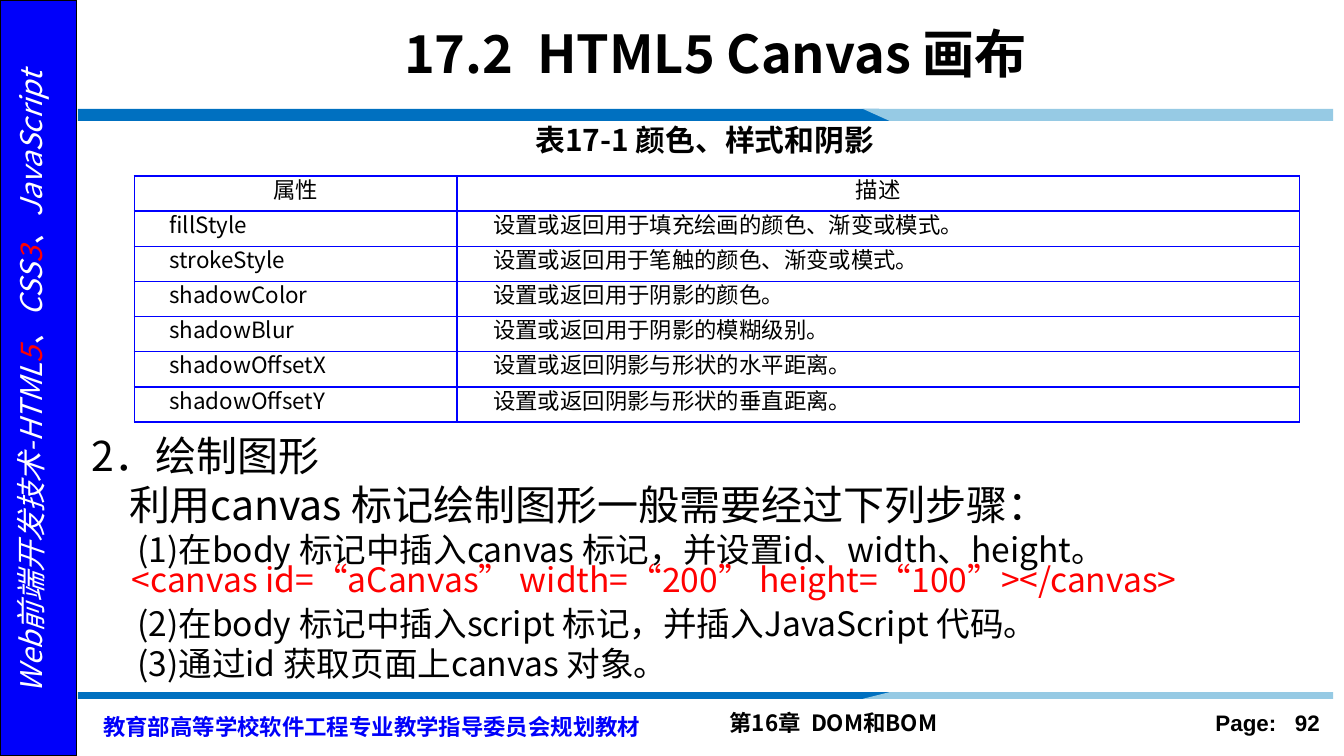
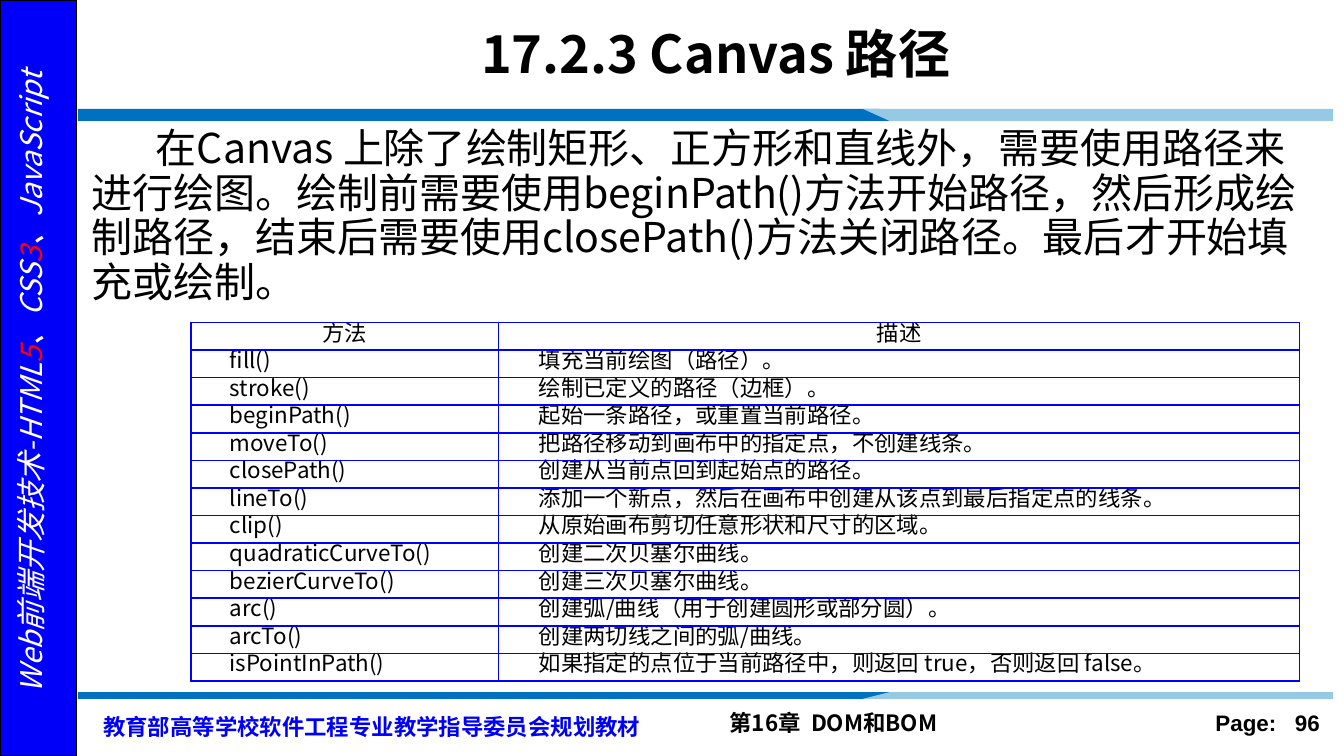
import pptx
import pptx.dml.color
import pptx.enum.shapes
import pptx.enum.text
import pptx.oxml
import pptx.oxml.ns
import pptx.util
from lxml import etree

Inches = pptx.util.Inches
Pt = pptx.util.Pt
ALIGN = pptx.enum.text.PP_ALIGN
ANCHOR = pptx.enum.text.MSO_ANCHOR

FONT = "Noto Sans CJK SC"
BLACK, WHITE, RED = "000000", "FFFFFF", "FF0000"
SIDE_BLUE, GRID_BLUE = "0000FA", "0000FF"
BAND_DARK, BAND_LIGHT = "0070C0", "96CAE4"
LINE_RATIO = 1.2

SLIDE_WIDTH = Inches(10)
SLIDE_HEIGHT = SLIDE_WIDTH * 9 // 16
BODY_LEFT, BODY_WIDTH = 0.58, 9.33


def color(value):
    """Turn a hex string into a colour."""
    return pptx.dml.color.RGBColor.from_string(value)


def apply(target, values):
    """Set every attribute in a dict of format values."""
    for name, value in values.items():
        setattr(target, name, value)


def place(shape, box):
    """Move a shape to a box of left, top, width and height in inches."""
    apply(shape, dict(zip(("left", "top", "width", "height"), map(Inches, box))))


def write(paragraph, runs, size, font=FONT, indent=0, layout=None, **style):
    """Fill a paragraph with (text, hex colour) runs in one style."""
    spacing = {"space_before": Pt(0), "space_after": Pt(0),
               "line_spacing": Pt(round(size * LINE_RATIO, 1))}
    apply(paragraph, {**spacing, **(layout or {})})
    properties = paragraph._p.get_or_add_pPr()
    properties.set("marL", "0")
    properties.set("indent", str(Inches(indent)))
    etree.SubElement(properties, pptx.oxml.ns.qn("a:buNone"))
    for text, hex_color in runs:
        run = paragraph.add_run()
        run.text = text
        apply(run.font, {"size": Pt(size), "name": font, **style})
        run.font.color.rgb = color(hex_color)
        east_asian = etree.SubElement(run.font._element, pptx.oxml.ns.qn("a:ea"))
        east_asian.set("typeface", font)


def prepare_frame(shape, anchor=ANCHOR.TOP):
    """Give a text shape the shared insets and return its frame."""
    frame = shape.text_frame
    apply(frame, {"word_wrap": True, "vertical_anchor": anchor,
                  "auto_size": pptx.enum.text.MSO_AUTO_SIZE.NONE,
                  "margin_left": Inches(0.1), "margin_right": Inches(0.1),
                  "margin_top": Inches(0.05), "margin_bottom": Inches(0.05)})
    return frame


def add_label(slide, box, runs, size, anchor=ANCHOR.TOP, **options):
    """Add a one-paragraph text box and return it."""
    label = slide.shapes.add_textbox(*map(Inches, box))
    write(prepare_frame(label, anchor).paragraphs[0], runs, size, **options)
    return label


def paint(shape, fill, line=None):
    """Give a shape a plain fill and an optional one-point line."""
    shape.shadow.inherit = False
    shape.fill.solid()
    shape.fill.fore_color.rgb = color(fill)
    if line:
        shape.line.color.rgb = color(line)
        shape.line.width = Pt(1)
    else:
        shape.line.fill.background()


def add_band(slide, box, flipped=False):
    """Add a two-tone rule whose halves meet on a slant."""
    left, top, width, height = box
    near, far = (top + height, top) if flipped else (top, top + height)
    right = left + width
    outlines = {
        BAND_DARK: [(left, near), (left + 5.96, near), (left + 6.14, far), (left, far)],
        BAND_LIGHT: [(left + 5.84, near), (right, near), (right, far), (left + 6.04, far)],
    }
    for fill, points in outlines.items():
        start, *rest = [(Inches(x), Inches(y)) for x, y in points]
        builder = slide.shapes.build_freeform(*start)
        builder.add_line_segments(rest, close=True)
        paint(builder.convert_to_shape(), fill)


def add_sidebar(slide, box):
    """Add the blue side strip with the course name running upwards."""
    strip = slide.shapes.add_shape(pptx.enum.shapes.MSO_SHAPE.RECTANGLE, *map(Inches, box))
    paint(strip, SIDE_BLUE, BLACK)
    left, top, width, height = box
    length, thickness = 5.19, 0.34
    name_box = (left + width / 2 - length / 2, top + height / 2 - thickness / 2 + 0.03,
                length, thickness)
    name = [("Web前端开发技术-HTML", WHITE), ("5", RED), ("、CSS", WHITE),
            ("3", RED), ("、JavaScript", WHITE)]
    label = add_label(slide, name_box, name, 16, italic=True,
                      layout={"alignment": ALIGN.CENTER, "line_spacing": Pt(14.4)})
    label.rotation = 270


def add_footer(slide, box, page):
    """Add the series, chapter and page labels."""
    left, top, width, height = box
    add_label(slide, (left, top - 0.02, 4.33, 0.35),
              [("教育部高等学校软件工程专业教学指导委员会规划教材", SIDE_BLUE)], 12,
              bold=True, layout={"line_spacing": Pt(18)})
    add_label(slide, (left + 4.66, top, 3.29, height),
              [("第16章  DOM和BOM", BLACK)], 12, bold=True)
    add_label(slide, (left + width - 1.25, top, 1.25, height),
              [(f"Page:   {page}", BLACK)], 12, font="Arial", bold=True,
              layout={"alignment": ALIGN.RIGHT, "line_spacing": 1.0})


def start_slide(presentation, title, page):
    """Add a slide with its title and the shared frame."""
    slide = presentation.slides.add_slide(presentation.slide_layouts[1])
    add_sidebar(slide, (0, 0, 0.57, SLIDE_HEIGHT.inches if hasattr(SLIDE_HEIGHT, "inches")
                        else SLIDE_HEIGHT / Inches(1)))
    add_footer(slide, (0.67, 5.23, 9.25, 0.3), page)
    add_band(slide, (0.58, 0.81, 9.34, 0.09))
    add_band(slide, (0.58, 5.15, 9.34, 0.05), flipped=True)
    heading = slide.shapes.title
    place(heading, (1.08, 0.08, 8.49, 0.62))
    write(prepare_frame(heading, ANCHOR.MIDDLE).paragraphs[0], [(title, BLACK)], 28,
          bold=True, layout={"alignment": ALIGN.CENTER, "line_spacing": 1.0})
    return slide


def fill_body(slide, box, lines):
    """Place the body placeholder and write (text, size, colour, indent, pitch) lines."""
    body = slide.placeholders[1]
    place(body, box)
    frame = prepare_frame(body)
    for index, (text, size, hex_color, indent, pitch) in enumerate(lines):
        paragraph = frame.add_paragraph() if index else frame.paragraphs[0]
        write(paragraph, [(text, hex_color)], size, indent=indent,
              layout={"line_spacing": Pt(pitch), "alignment": ALIGN.LEFT})


def outline_cell(cell):
    """Draw one-point grid lines around a cell."""
    properties = cell._tc.get_or_add_tcPr()
    for index, side in enumerate(("lnL", "lnR", "lnT", "lnB")):
        properties.insert(index, pptx.oxml.parse_xml(
            f'<a:{side} {pptx.oxml.ns.nsdecls("a")} w="12700"><a:solidFill>'
            f'<a:srgbClr val="{GRID_BLUE}"/></a:solidFill></a:{side}>'))


def add_grid(slide, box, first_width, indents, rows):
    """Add a two-column table with a centred heading row."""
    width, height = box[2:]
    table = slide.shapes.add_table(len(rows), 2, *map(Inches, box)).table
    apply(table, {"first_row": False, "horz_banding": False})
    for column, column_width in zip(table.columns, (first_width, width - first_width)):
        column.width = Inches(column_width)
    for row_index, texts in enumerate(rows):
        table.rows[row_index].height = Inches(height / len(rows))
        for column_index, text in enumerate(texts):
            cell = table.cell(row_index, column_index)
            apply(cell, {"margin_left": Inches(0.07), "margin_right": Inches(0.07),
                         "margin_top": 0, "margin_bottom": 0,
                         "vertical_anchor": ANCHOR.MIDDLE})
            cell.fill.background()
            outline_cell(cell)
            write(cell.text_frame.paragraphs[0], [(text, BLACK)], 12, bold=False,
                  indent=indents[column_index] if row_index else 0,
                  layout={"alignment": ALIGN.JUSTIFY if row_index else ALIGN.CENTER,
                          "line_spacing": Pt(12), "space_before": Pt(2.4)})


def build_canvas_slide(presentation):
    """Build the slide on style properties and drawing steps."""
    slide = start_slide(presentation, "17.2  HTML5 Canvas 画布", 92)
    add_label(slide, (BODY_LEFT, 0.9, BODY_WIDTH, 0.34),
              [("表17-1 颜色、样式和阴影", BLACK)], 16, anchor=ANCHOR.MIDDLE, bold=True,
              layout={"alignment": ALIGN.CENTER, "line_spacing": Pt(14.4)})
    add_grid(slide, (1, 1.31, 8.67, 1.83), 2.4, (0.19, 0.2), [
        ("属性", "描述"),
        ("fillStyle", "设置或返回用于填充绘画的颜色、渐变或模式。"),
        ("strokeStyle", "设置或返回用于笔触的颜色、渐变或模式。"),
        ("shadowColor", "设置或返回用于阴影的颜色。"),
        ("shadowBlur", "设置或返回用于阴影的模糊级别。"),
        ("shadowOffsetX", "设置或返回阴影与形状的水平距离。"),
        ("shadowOffsetY", "设置或返回阴影与形状的垂直距离。"),
    ])
    fill_body(slide, (BODY_LEFT, 3.15, BODY_WIDTH, 2), [
        ("2．绘制图形", 22, BLACK, 0, 26.4),
        ("利用canvas 标记绘制图形一般需要经过下列步骤：", 22, BLACK, 0.28, 26.4),
        ("(1)在body 标记中插入canvas 标记，并设置id、width、height。",
         18, BLACK, 0.34, 21.6),
        ("<canvas id=“aCanvas” width=“200” height=“100”></canvas>",
         18, RED, 0.3, 16.4),
        ("(2)在body 标记中插入script 标记，并插入JavaScript 代码。",
         18, BLACK, 0.34, 23.2),
        ("(3)通过id 获取页面上canvas 对象。", 18, BLACK, 0.34, 21.6),
    ])


def build_path_slide(presentation):
    """Build the slide on path methods."""
    slide = start_slide(presentation, "17.2.3 Canvas 路径", 96)
    add_grid(slide, (1.42, 2.4, 8.25, 2.67), 2.29, (0.22, 0.23), [
        ("方法", "描述"),
        ("fill()", "填充当前绘图（路径）。"),
        ("stroke()", "绘制已定义的路径（边框）。"),
        ("beginPath()", "起始一条路径，或重置当前路径。"),
        ("moveTo()", "把路径移动到画布中的指定点，不创建线条。"),
        ("closePath()", "创建从当前点回到起始点的路径。"),
        ("lineTo()", "添加一个新点，然后在画布中创建从该点到最后指定点的线条。"),
        ("clip()", "从原始画布剪切任意形状和尺寸的区域。"),
        ("quadraticCurveTo()", "创建二次贝塞尔曲线。"),
        ("bezierCurveTo()", "创建三次贝塞尔曲线。"),
        ("arc()", "创建弧/曲线（用于创建圆形或部分圆）。"),
        ("arcTo()", "创建两切线之间的弧/曲线。"),
        ("isPointInPath()", "如果指定的点位于当前路径中，则返回 true，否则返回 false。"),
    ])
    fill_body(slide, (BODY_LEFT, 0.9, BODY_WIDTH, 1.43), [
        ("在Canvas 上除了绘制矩形、正方形和直线外，需要使用路径来进行绘图。"
         "绘制前需要使用beginPath()方法开始路径，然后形成绘制路径，"
         "结束后需要使用closePath()方法关闭路径。最后才开始填充或绘制。",
         22, BLACK, 0.48, 23.8),
    ])


def main():
    """Build and save the presentation."""
    presentation = pptx.Presentation()
    apply(presentation, {"slide_width": SLIDE_WIDTH, "slide_height": SLIDE_HEIGHT})
    build_canvas_slide(presentation)
    build_path_slide(presentation)
    presentation.save("out.pptx")


if __name__ == "__main__":
    main()
